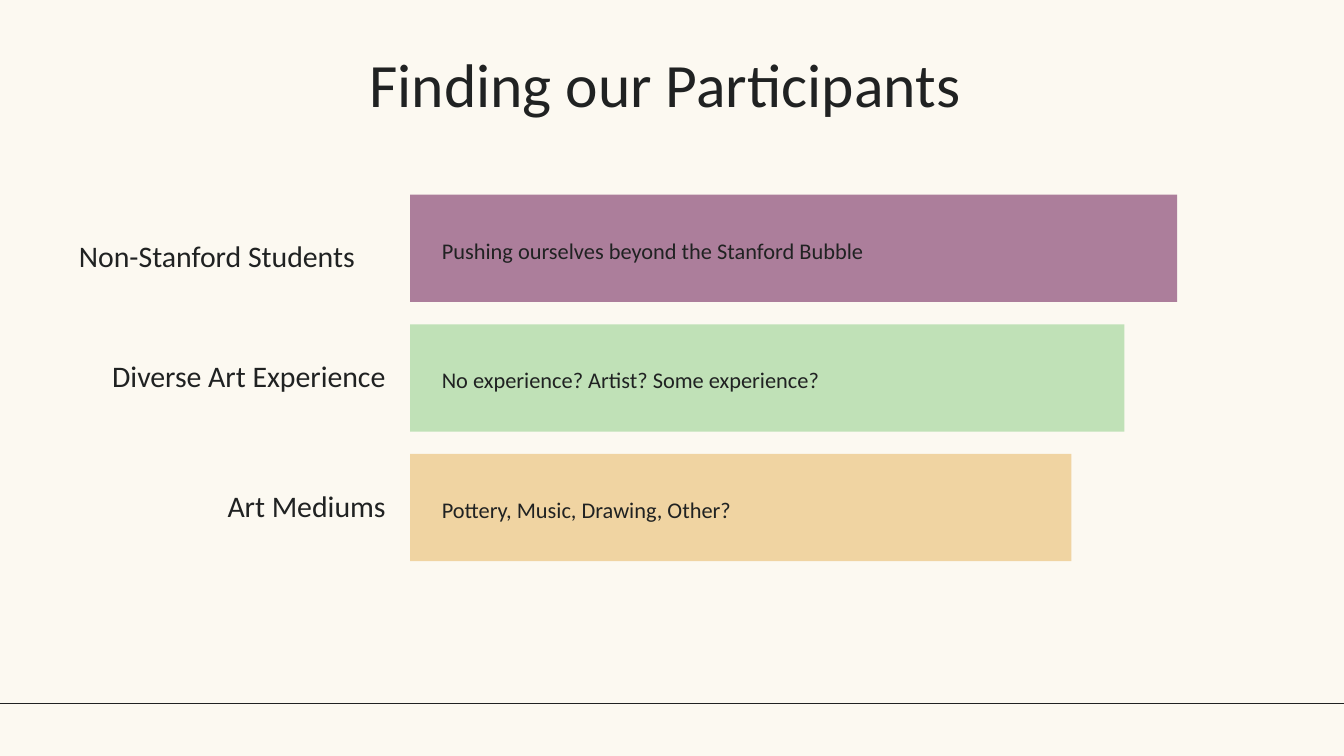
from lxml import etree
from pptx import Presentation
from pptx import util as u
from pptx.dml.color import RGBColor
from pptx.enum import shapes, text
from pptx.oxml.ns import qn

INK = "202222"
BACKGROUND = "FCF9F1"
BAR_LEFT, BAR_TOP, BAR_HEIGHT, BAR_PITCH = 7.75, 3.68, 2.03, 2.45
BAR_WIDTH, BAR_STEP = 14.5, 1
DETAIL_LEFT = 8.1
ROWS = [
    dict(color="AC7E9B", label="Non-Stanford Students", label_box=(0, 3.89, 7.37, 1.6),
         label_insets=(0.25, 0.51, 0.66, 0.13),
         detail="Pushing ourselves beyond the Stanford Bubble", detail_size=(13.23, 1.6)),
    dict(color="C0E1B7", label="Diverse Art Experience", label_box=(0, 6.27, 7.54, 1.75),
         detail="No experience? Artist? Some experience?", detail_size=(12.14, 0.91)),
    dict(color="F0D4A2", label="Art Mediums", label_box=(2.1, 8.72, 5.44, 1.75),
         detail="Pottery, Music, Drawing, Other?", detail_size=(10.69, 0.91)),
]


def rgb(color):
    """Turn a hex string into a colour."""
    return RGBColor.from_string(color)


def add_text(slide, content, box, size, align=text.PP_ALIGN.LEFT, spacing=1.0,
             anchor=text.MSO_ANCHOR.MIDDLE, insets=(0.25, 0.13, 0.25, 0.13)):
    """Add a wrapped text box; box and insets are in centimetres."""
    shape = slide.shapes.add_textbox(*map(u.Cm, box))
    frame = shape.text_frame
    frame.word_wrap = True
    frame.vertical_anchor = anchor
    frame.margin_left, frame.margin_top, frame.margin_right, frame.margin_bottom = map(u.Cm, insets)
    paragraph = frame.paragraphs[0]
    paragraph.alignment = align
    paragraph.line_spacing = spacing
    run = paragraph.add_run()
    run.text = content
    run.font.name = "Calibri"
    run.font.size = u.Pt(size)
    run.font.color.rgb = rgb(INK)


def add_bar(slide, box, color):
    """Add a plain filled rectangle."""
    shape = slide.shapes.add_shape(shapes.MSO_SHAPE.RECTANGLE, *map(u.Cm, box))
    shape.shadow.inherit = False
    shape.fill.solid()
    shape.fill.fore_color.rgb = rgb(color)
    shape.line.fill.background()


def add_rule(slide, start, end):
    """Add a thin straight line without a shadow."""
    line = slide.shapes.add_connector(shapes.MSO_CONNECTOR.STRAIGHT, *map(u.Cm, start + end))
    line.line.color.rgb = rgb(INK)
    line.line.width = u.Pt(0.75)
    etree.SubElement(line._element.spPr, qn("a:effectLst"))


def add_row(slide, index, row):
    """Add one bar with its label on the left and its detail inside."""
    top = BAR_TOP + index * BAR_PITCH
    add_bar(slide, (BAR_LEFT, top, BAR_WIDTH - index * BAR_STEP, BAR_HEIGHT), row["color"])
    add_text(slide, row["label"], row["label_box"], 16, align=text.PP_ALIGN.RIGHT,
             spacing=0.9, insets=row.get("label_insets", (0.25, 0.13, 0.25, 0.13)))
    width, height = row["detail_size"]
    detail_top = top + (BAR_HEIGHT - height) / 2
    add_text(slide, row["detail"], (DETAIL_LEFT, detail_top, width, height), 12, spacing=1.15)


def main():
    """Build the slide and save it."""
    presentation = Presentation()
    presentation.slide_width, presentation.slide_height = u.Cm(25.4), u.Cm(14.29)
    slide = presentation.slides.add_slide(presentation.slide_layouts[6])
    slide.background.fill.solid()
    slide.background.fill.fore_color.rgb = rgb(BACKGROUND)
    add_rule(slide, (25.4, 13.3), (0, 13.3))
    add_text(slide, "Finding our Participants", (2, 0.61, 21.4, 1.78), 33,
             align=text.PP_ALIGN.CENTER, anchor=text.MSO_ANCHOR.TOP,
             insets=(0.25, 0.25, 0.51, 0.25))
    for index, row in enumerate(ROWS):
        add_row(slide, index, row)
    presentation.save("out.pptx")


if __name__ == "__main__":
    main()
